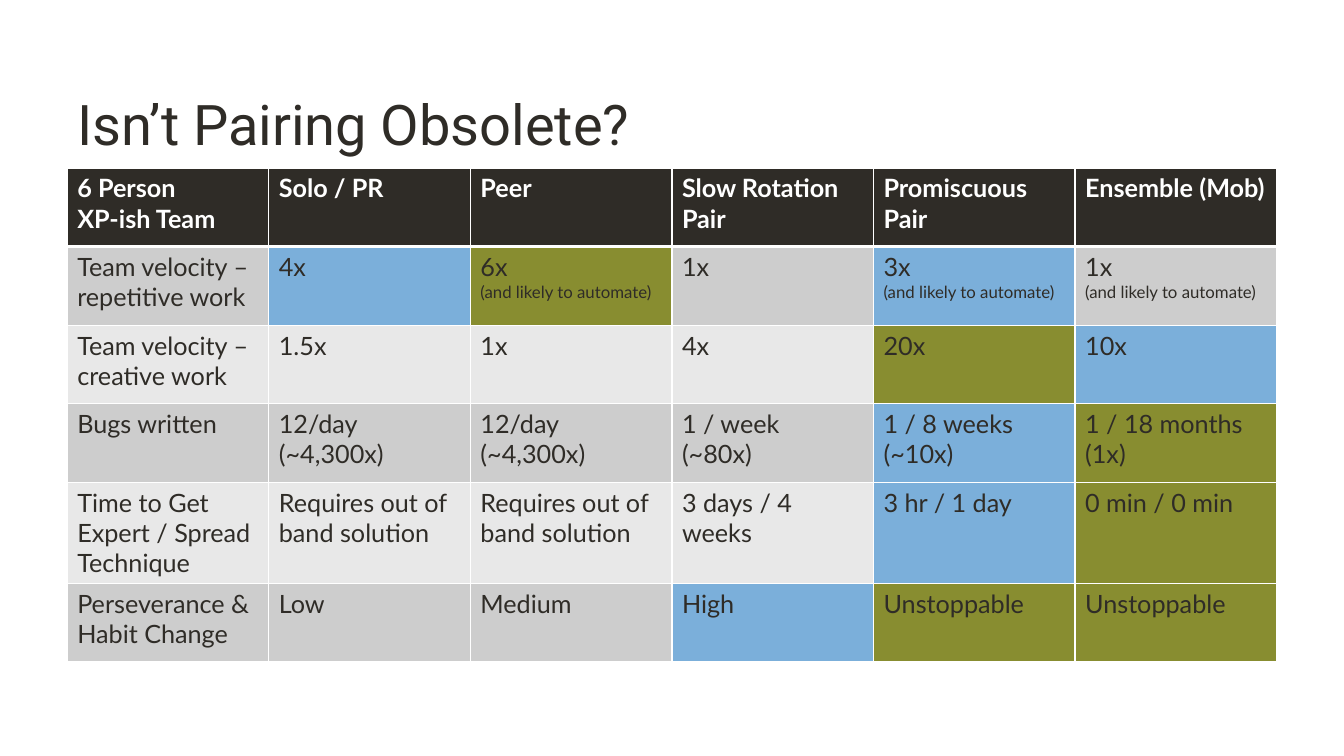
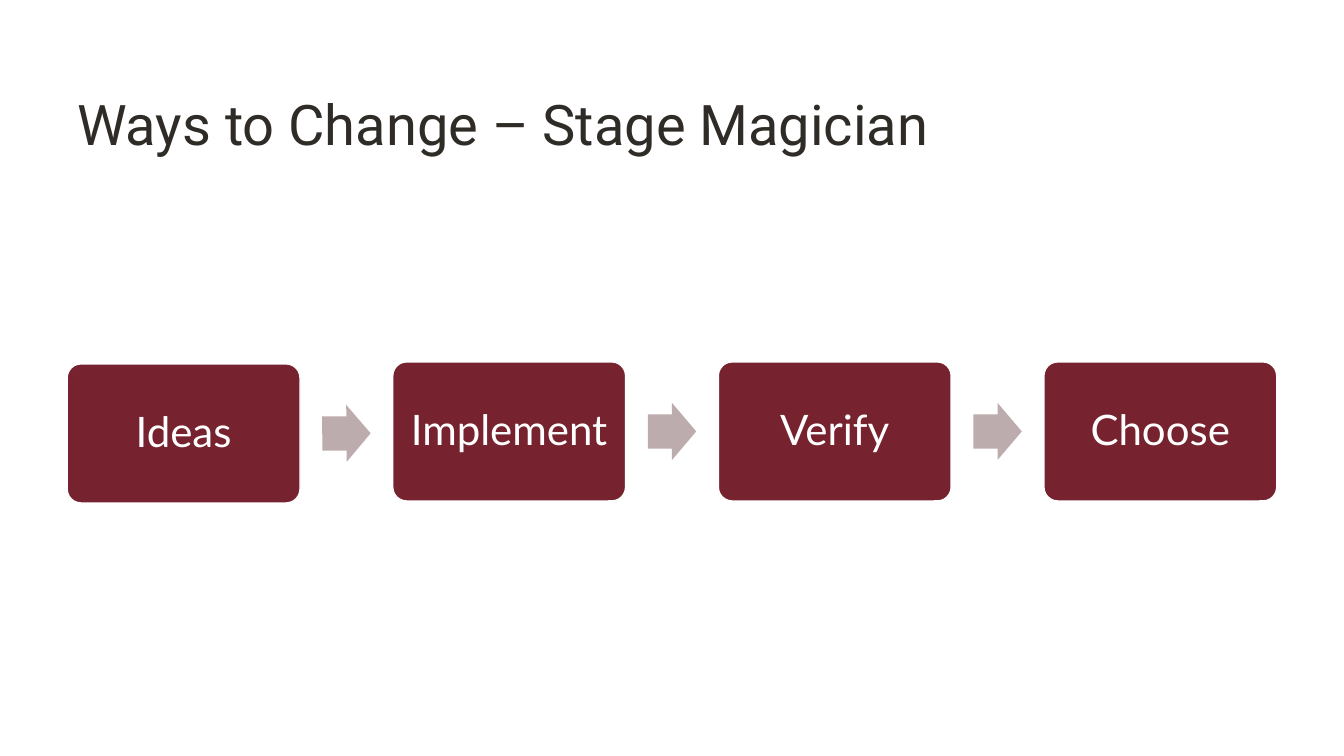
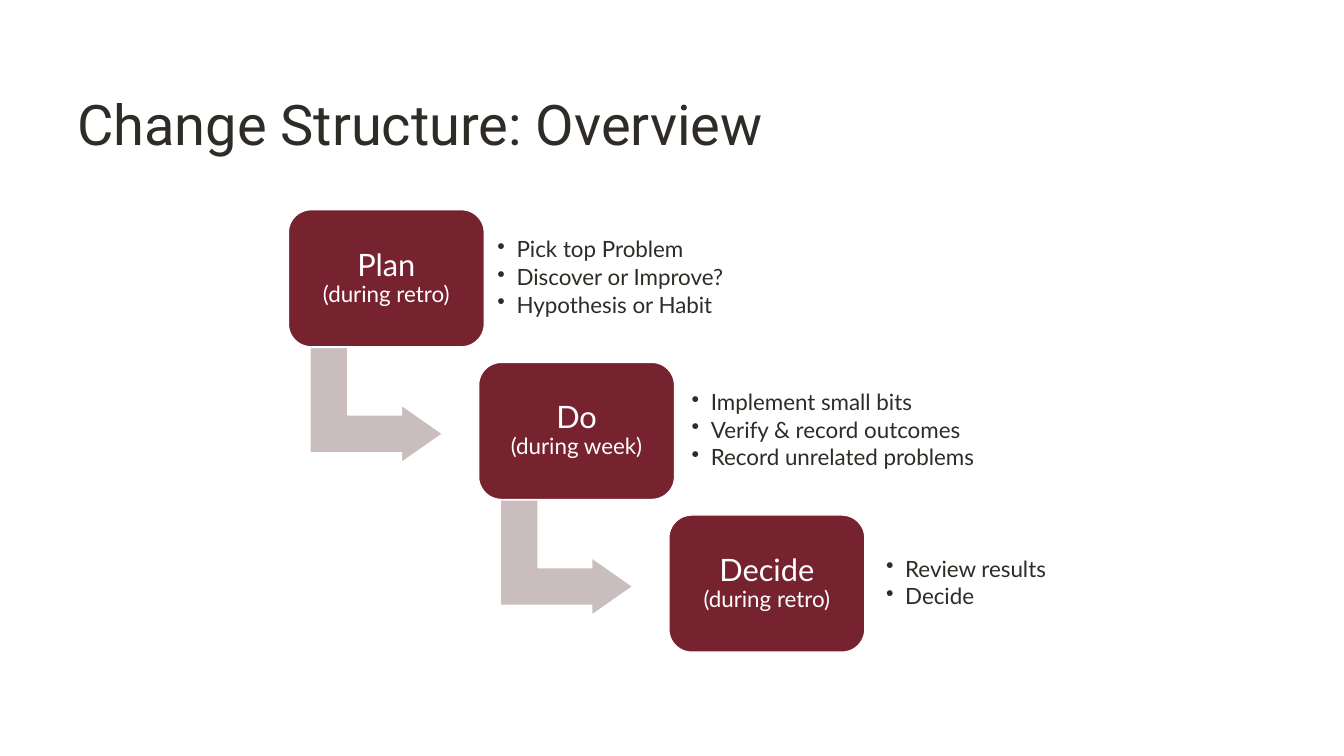
from dataclasses import dataclass

from lxml import etree
from pptx import Presentation
from pptx.dml.color import RGBColor
from pptx.enum.shapes import MSO_SHAPE
from pptx.enum.text import MSO_ANCHOR, PP_ALIGN
from pptx.oxml.ns import qn
from pptx.util import Inches, Pt

ROUNDED = MSO_SHAPE.ROUNDED_RECTANGLE
RIGHT_ARROW = MSO_SHAPE.RIGHT_ARROW
BENT_ARROW = MSO_SHAPE.BENT_UP_ARROW
MIDDLE = MSO_ANCHOR.MIDDLE
LEFT, CENTER = PP_ALIGN.LEFT, PP_ALIGN.CENTER

SLIDE_W, SLIDE_H = 13.33, 7.5
COL, ROW = SLIDE_W / 20, SLIDE_H / 45
INK, WHITE, WINE = "2F2C27", "FFFFFF", "76232F"
FLOW_ARROW, STEP_ARROW = "BDACAD", "CABDBE"
BANDS = ("E8E8E8", "CDCDCD")
RATINGS = {"b": "7BAFDA", "g": "888D30"}
HEAD_FONT, BODY_FONT = "Roboto", "Lato"

AUTOMATE = "(and likely to automate)"
HEADER = ("6 Person\nXP-ish Team", "Solo / PR", "Peer", "Slow Rotation Pair",
          "Promiscuous Pair", "Ensemble (Mob)")
RATED_ROWS = (
    ("-bg-b-", ("Team velocity – repetitive work", "4x", f"6x\n{AUTOMATE}", "1x",
                f"3x\n{AUTOMATE}", f"1x\n{AUTOMATE}")),
    ("----gb", ("Team velocity – creative work", "1.5x", "1x", "4x", "20x", "10x")),
    ("----bg", ("Bugs written", "12/day\n(~4,300x)", "12/day\n(~4,300x)",
                "1 / week\n(~80x)", "1 / 8 weeks\n(~10x)", "1 / 18 months\n(1x)")),
    ("----bg", ("Time to Get Expert / Spread Technique", "Requires out of band solution",
                "Requires out of band solution", "3 days / 4 weeks",
                "3 hr / 1 day", "0 min / 0 min")),
    ("---bgg", ("Perseverance & Habit Change", "Low", "Medium", "High",
                "Unstoppable", "Unstoppable")),
)
ROW_SPANS = (4.68, 4.68, 4.68, 4.68, 5.9, 4.68)
FLOW = ("Ideas", "Implement", "Verify", "Choose")
STEPS = (
    ("Plan", "(during retro)",
     ("Pick top Problem", "Discover or Improve?", "Hypothesis or Habit")),
    ("Do", "(during week)",
     ("Implement small bits", "Verify & record outcomes", "Record unrelated problems")),
    ("Decide", "(during retro)", ("Review results", "Decide")),
)


@dataclass
class Box:
    x: float
    y: float
    w: float
    h: float

    def emu(self):
        return [Inches(v) for v in (self.x, self.y, self.w, self.h)]


def grid(col, row, cols, rows):
    return Box(col * COL, row * ROW, cols * COL, rows * ROW)


def rgb(color):
    return RGBColor.from_string(color)


def add_run(p, text, size, color, font=BODY_FONT, bold=False):
    r = p.add_run()
    r.text = text
    r.font.size = Pt(size)
    r.font.name = font
    r.font.bold = bold
    r.font.color.rgb = rgb(color)


def paragraphs(tf, count):
    return [tf.paragraphs[0]] + [tf.add_paragraph() for _ in range(count - 1)]


def frame(sp, inset, inset_y):
    tf = sp.text_frame
    tf.word_wrap = True
    tf.vertical_anchor = MIDDLE
    tf.margin_left = tf.margin_right = Inches(inset)
    tf.margin_top = tf.margin_bottom = Inches(inset_y)
    return tf


def shape(s, kind, box, fill, adjustments, line=None):
    sp = s.shapes.add_shape(kind, *box.emu())
    sp.shadow.inherit = False
    sp.fill.solid()
    sp.fill.fore_color.rgb = rgb(fill)
    if line:
        sp.line.color.rgb = rgb(line)
        sp.line.width = Pt(1)
    else:
        sp.line.fill.background()
    for i, value in enumerate(adjustments):
        sp.adjustments[i] = value
    return sp


def card(s, box, radius, inset, runs):
    sp = shape(s, ROUNDED, box, WINE, [radius], WHITE)
    p = frame(sp, inset, inset).paragraphs[0]
    p.alignment = CENTER
    p.line_spacing = 0.9
    for i, (text, size) in enumerate(runs):
        if i:
            p.add_line_break()
        add_run(p, text, size, WHITE)


def bullets(s, box, items):
    tf = frame(s.shapes.add_textbox(*box.emu()), 0.07, 0.07)
    for p, item in zip(paragraphs(tf, len(items)), items):
        p.alignment = LEFT
        p.line_spacing = 0.9
        p.space_after = Pt(2.4)
        pPr = p._p.get_or_add_pPr()
        pPr.set("marL", str(Inches(0.19)))
        pPr.set("indent", str(-Inches(0.19)))
        etree.SubElement(pPr, qn("a:buChar")).set("char", "•")
        add_run(p, item, 16, INK)


def titled_slide(prs, title):
    s = prs.slides.add_slide(prs.slide_layouts[6])
    tf = frame(s.shapes.add_textbox(*grid(1, 4, 18, 7.2).emu()), 0.1, 0.05)
    p = tf.paragraphs[0]
    p.line_spacing = 0.9
    add_run(p, title, 40, INK, HEAD_FONT)
    return s


def border(cell, side, width):
    ln = etree.SubElement(cell._tc.get_or_add_tcPr(), qn(f"a:ln{side}"))
    ln.set("w", str(Pt(width)))
    fill = etree.SubElement(ln, qn("a:solidFill"))
    etree.SubElement(fill, qn("a:srgbClr")).set("val", WHITE)


def fill_cell(cell, text, fill, color, bold, top, bottom):
    for side, width in (("L", 1), ("R", 1), ("T", top), ("B", bottom)):
        border(cell, side, width)
    cell.fill.solid()
    cell.fill.fore_color.rgb = rgb(fill)
    lines = text.split("\n")
    for p, line in zip(paragraphs(cell.text_frame, len(lines)), lines):
        add_run(p, line, 12 if line == AUTOMATE else 18, color, bold=bold)


def comparison_table(s, box):
    table = s.shapes.add_table(len(ROW_SPANS), len(HEADER), *box.emu()).table
    for column in table.columns:
        column.width = Inches(box.w / len(HEADER))
    for row, span in zip(table.rows, ROW_SPANS):
        row.height = Inches(box.h * span / sum(ROW_SPANS))
    for c, text in enumerate(HEADER):
        fill_cell(table.cell(0, c), text, INK, WHITE, True, 1, 3)
    for r, (ratings, texts) in enumerate(RATED_ROWS, 1):
        for c, (rating, text) in enumerate(zip(ratings, texts)):
            fill = RATINGS.get(rating, BANDS[r % 2])
            fill_cell(table.cell(r, c), text, fill, INK, False, 3 if r == 1 else 1, 1)


def process_flow(s, box):
    card_w, arrow_w, arrow_h = box.w * 0.1925, box.w * 0.04, box.h * 0.41
    step = (box.w - card_w) / (len(FLOW) - 1)
    for i, label in enumerate(FLOW):
        x = box.x + i * step
        y = box.y if i else box.y + 0.02
        card(s, Box(x, y, card_w, box.h), 0.1, 0.12, [(label, 30)])
        if i < len(FLOW) - 1:
            arrow = Box(x + (card_w + step - arrow_w) / 2,
                        y + (box.h - arrow_h) / 2, arrow_w, arrow_h)
            sp = shape(s, RIGHT_ARROW, arrow, FLOW_ARROW, [0.6, 0.5])
            sp.rotation = 0 if i else 359.6


def step_down(s, box):
    card_w, card_h = box.w * 0.34, box.h * 0.31
    last = len(STEPS) - 1
    step_x, step_y = (box.w - card_w) / last, (box.h - card_h) / last
    for i, (name, when, items) in enumerate(STEPS):
        x, y = box.x + i * step_x, box.y + i * step_y
        if i < last:
            arrow = Box(x + card_w * 0.155, y + card_h * 0.94, box.w * 0.2, box.h * 0.3)
            sp = shape(s, BENT_ARROW, arrow, STEP_ARROW, [0.328, 0.25, 0.358], WHITE)
            sp.rotation = 90
        card(s, Box(x, y, card_w, card_h), 0.167, 0.09, [(name, 22), (when, 16)])
        gap = 0.06 + 0.04 * i
        bullets(s, Box(x + card_w + gap, y + card_h * 0.1, box.w * 0.57, card_h * 0.8), items)


def main():
    prs = Presentation()
    prs.slide_width, prs.slide_height = Inches(SLIDE_W), Inches(SLIDE_H)
    comparison_table(titled_slide(prs, "Isn’t Pairing Obsolete?"),
                     grid(1, 10, 18, sum(ROW_SPANS)))
    process_flow(titled_slide(prs, "Ways to Change – Stage Magician"),
                 grid(1, 21.54, 18, 8.28))
    step_down(titled_slide(prs, "Change Structure: Overview"),
              grid(4.29, 12.48, 8.58, 26.34))
    prs.save("out.pptx")


if __name__ == "__main__":
    main()
